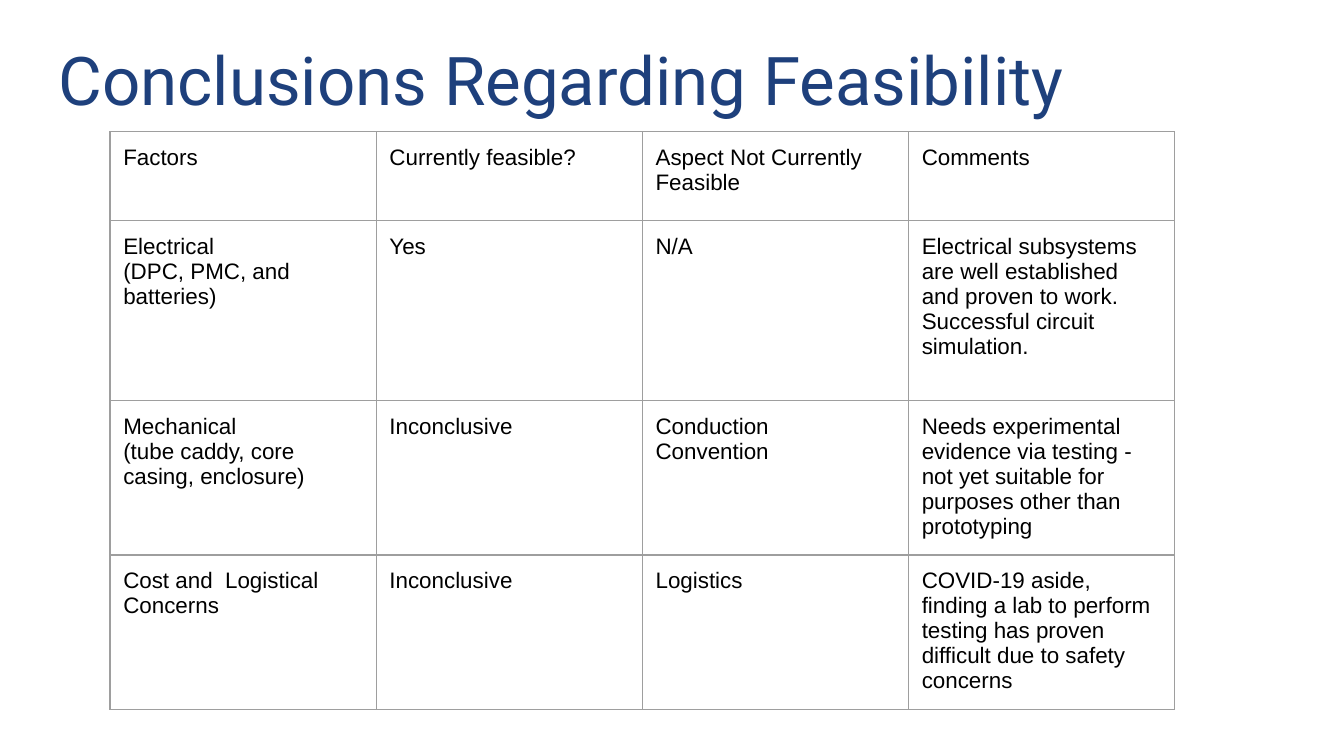
from lxml.etree import SubElement
from pptx import Presentation
from pptx.dml.color import RGBColor
from pptx.enum.text import MSO_ANCHOR, MSO_AUTO_SIZE, PP_ALIGN
from pptx.oxml.ns import qn
from pptx.util import Cm, Pt

NAVY = RGBColor(0x1E, 0x40, 0x7C)
BLACK = RGBColor(0x00, 0x00, 0x00)
GRAY = RGBColor(0x9E, 0x9E, 0x9E)
INSET = Cm(0.25)
COLUMN_WIDTH = Cm(5.03)
ROW_HEIGHTS = [Cm(1.68), Cm(3.4), Cm(2.92), Cm(2.92)]
ROWS = [
    ["Factors", "Currently feasible?", "Aspect Not Currently\nFeasible", "Comments"],
    ["Electrical\n(DPC, PMC, and batteries)", "Yes", "N/A",
     "Electrical subsystems are well established and proven to work. "
     "Successful circuit simulation."],
    ["Mechanical\n(tube caddy, core casing, enclosure)", "Inconclusive",
     "Conduction\nConvention",
     "Needs experimental evidence via testing - not yet suitable for "
     "purposes other than prototyping"],
    ["Cost and  Logistical Concerns", "Inconclusive", "Logistics",
     "COVID-19 aside, finding a lab to perform testing has proven "
     "difficult due to safety concerns"],
]


def set_insets(target):
    target.margin_left = target.margin_right = INSET
    target.margin_top = target.margin_bottom = INSET


def add_borders(cell):
    properties = cell._tc.get_or_add_tcPr()
    for side in ("a:lnL", "a:lnR", "a:lnT", "a:lnB"):
        line = SubElement(properties, qn(side), w=str(Pt(0.75)))
        fill = SubElement(line, qn("a:solidFill"))
        SubElement(fill, qn("a:srgbClr"), val=str(GRAY))


deck = Presentation()
deck.slide_width, deck.slide_height = Cm(25.4), Cm(14.29)
page = deck.slides.add_slide(deck.slide_layouts[5])

title = page.shapes.title
title.left, title.top, title.width, title.height = Cm(0.86), Cm(0.38), Cm(22.22), Cm(2.11)
frame = title.text_frame
frame.text = "Conclusions Regarding Feasibility"
frame.word_wrap = True
frame.auto_size = MSO_AUTO_SIZE.NONE
frame.vertical_anchor = MSO_ANCHOR.BOTTOM
set_insets(frame)
heading = frame.paragraphs[0]
heading.alignment = PP_ALIGN.LEFT
heading.font.name = "Roboto"
heading.font.size = Pt(36)
heading.font.color.rgb = NAVY

table = page.shapes.add_table(
    len(ROWS), len(ROWS[0]), Cm(2.08), Cm(2.49),
    COLUMN_WIDTH * len(ROWS[0]), sum(ROW_HEIGHTS)).table
table.first_row = False
table.horz_banding = False
for column in table.columns:
    column.width = COLUMN_WIDTH

for row, height, texts in zip(table.rows, ROW_HEIGHTS, ROWS):
    row.height = height
    for cell, text in zip(row.cells, texts):
        cell.text = text
        set_insets(cell)
        add_borders(cell)
        cell.fill.background()
        for para in cell.text_frame.paragraphs:
            para.font.name = "Arial"
            para.font.size = Pt(12)
            para.font.color.rgb = BLACK

deck.save("out.pptx")
